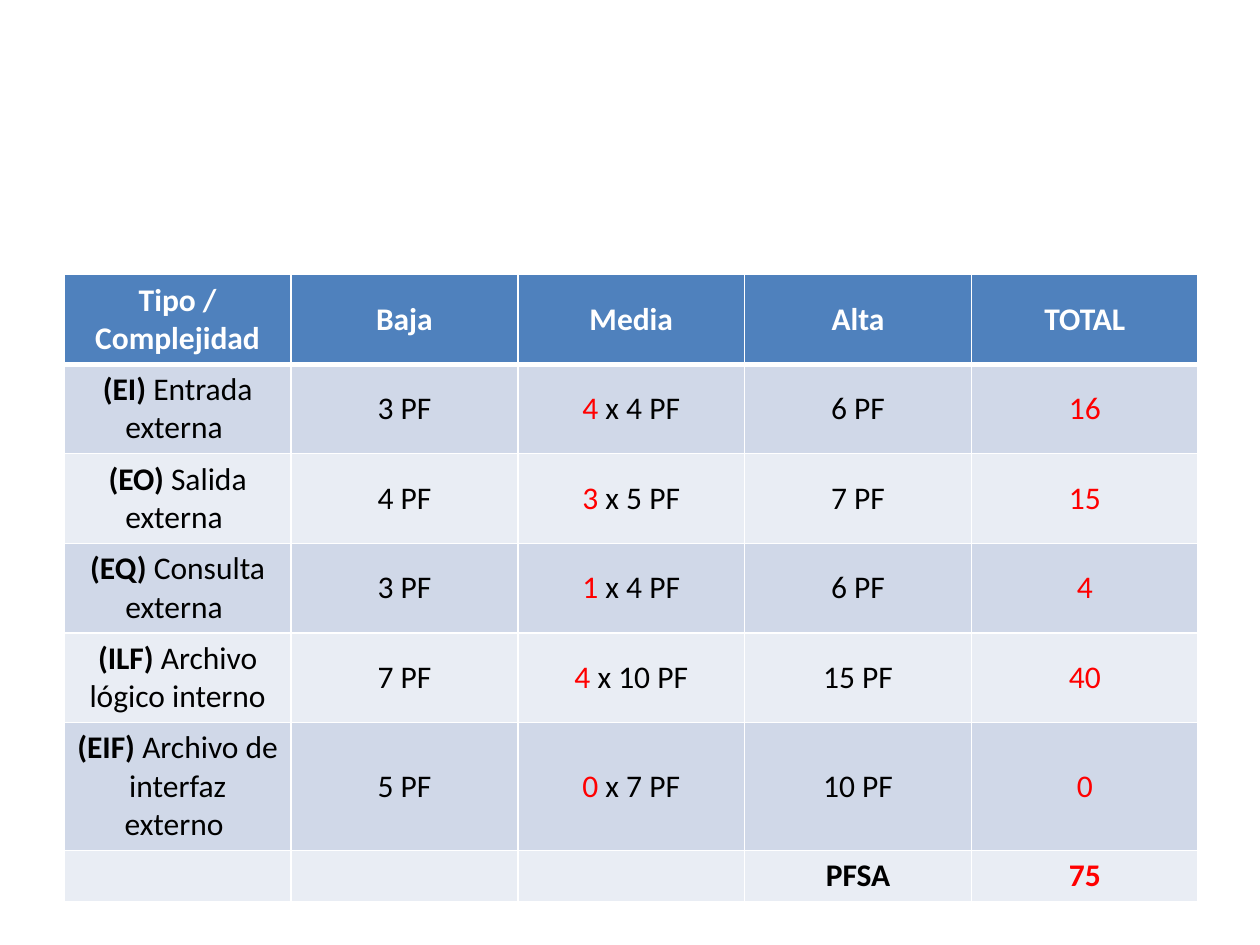
import pptx
import pptx.util
import pptx.dml.color
import pptx.enum.text
import pptx.oxml
import pptx.oxml.ns

RGBColor = pptx.dml.color.RGBColor
Inches = pptx.util.Inches
WHITE = RGBColor(0xFF, 0xFF, 0xFF)
BLACK = RGBColor(0, 0, 0)
RED = RGBColor(0xFF, 0, 0)
HEADER = RGBColor(0x4F, 0x81, 0xBD)
BANDS = (RGBColor(0xD0, 0xD8, 0xE8), RGBColor(0xE9, 0xED, 0xF4))

HEADINGS = ["Tipo / Complejidad", "Baja", "Media", "Alta", "TOTAL"]
FUNCTIONS = [
    ("EI", "Entrada externa ", 3, 4, 4, 6),
    ("EO", "Salida externa ", 4, 3, 5, 7),
    ("EQ", "Consulta externa ", 3, 1, 4, 6),
    ("ILF", "Archivo lógico interno", 7, 4, 10, 15),
    ("EIF", "Archivo de interfaz externo ", 5, 0, 7, 10),
]


def add_text(p, text, size=18, color=BLACK, bold=False, font="Calibri"):
    """Add one formatted run to a paragraph."""
    r = p.add_run()
    r.text = text
    r.font.name = font
    r.font.size = pptx.util.Pt(size)
    r.font.bold = bold
    r.font.color.rgb = color


def set_borders(cell, bottom=1):
    """Draw white borders round a cell, with the bottom width in points."""
    tcPr = cell._tc.get_or_add_tcPr()
    for side, width in (("L", 1), ("R", 1), ("T", 1), ("B", bottom)):
        tcPr.append(pptx.oxml.parse_xml(
            f'<a:ln{side} {pptx.oxml.ns.nsdecls("a")} w="{pptx.util.Pt(width)}">'
            f'<a:solidFill><a:srgbClr val="{WHITE}"/></a:solidFill></a:ln{side}>'))


def table_rows():
    """Return the rows as cells, each a list of (text, format) runs."""
    rows = [[[(h, dict(color=WHITE, bold=True))] for h in HEADINGS]]
    total = 0
    for code, name, low, count, mid, high in FUNCTIONS:
        total += count * mid
        rows.append([
            [(f"({code}) ", dict(bold=True)), (name, {})],
            [(f"{low} PF", {})],
            [(str(count), dict(color=RED)), (f" x {mid} PF", {})],
            [(f"{high} PF", {})],
            [(str(count * mid), dict(color=RED))],
        ])
    rows.append([[], [], [], [("PFSA", dict(bold=True))],
                 [(str(total), dict(color=RED, bold=True))]])
    return rows


def add_points_table(s, left, top, width, row_height):
    """Place the function point table in the given box."""
    rows = table_rows()
    table = s.shapes.add_table(len(rows), len(HEADINGS), left, top,
                               width, row_height * len(rows)).table
    for i, row in enumerate(rows):
        table.rows[i].height = row_height
        for j, runs in enumerate(row):
            cell = table.cell(i, j)
            set_borders(cell, bottom=1 if i else 3)
            cell.fill.solid()
            cell.fill.fore_color.rgb = BANDS[(i - 1) % 2] if i else HEADER
            if j or not i:
                cell.vertical_anchor = pptx.enum.text.MSO_ANCHOR.MIDDLE
            p = cell.text_frame.paragraphs[0]
            p.alignment = pptx.enum.text.PP_ALIGN.CENTER
            for text, style in runs:
                add_text(p, text, **style)


def main():
    """Build and save the slide."""
    prs = pptx.Presentation()
    prs.slide_width, prs.slide_height = Inches(10), Inches(7.5)
    s = prs.slides.add_slide(prs.slide_layouts[6])
    add_points_table(s, Inches(0.51), Inches(2.18),
                     int(prs.slide_width * 0.9), Inches(0.41))
    prs.save("out.pptx")


main()
